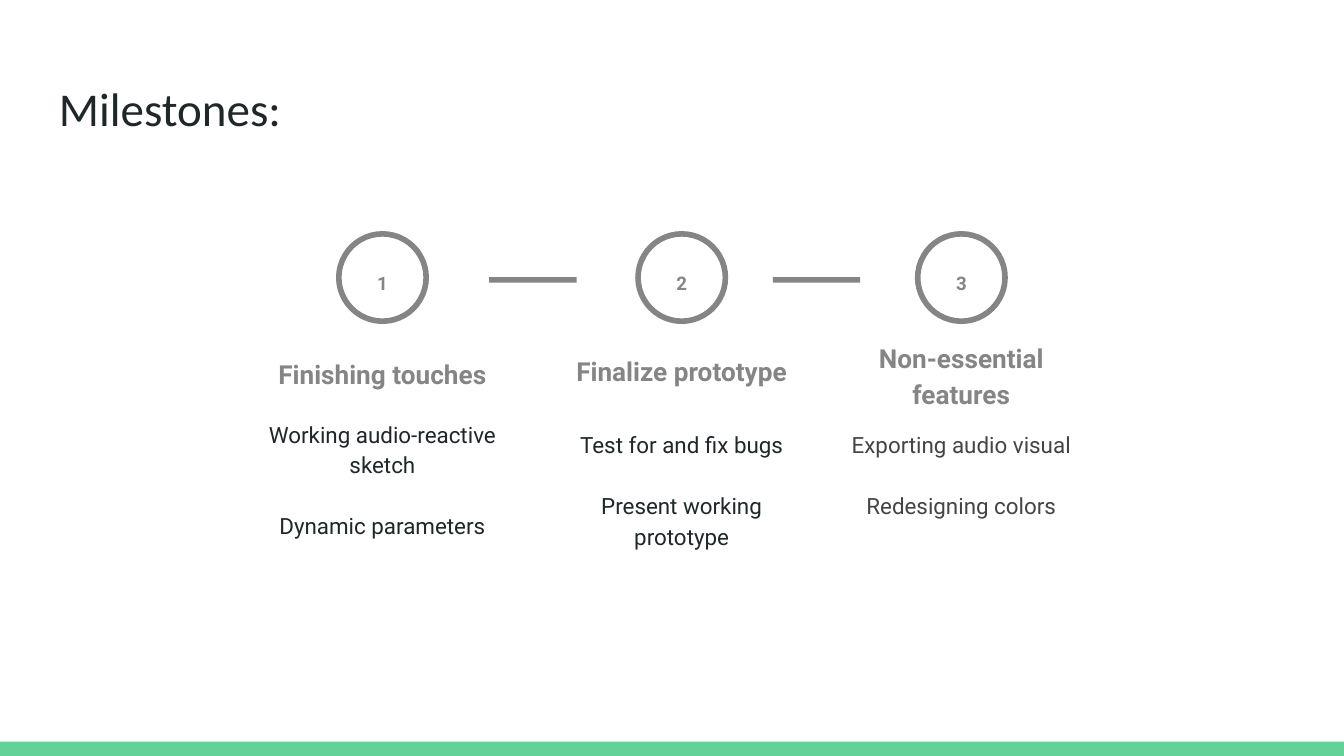
from pptx import Presentation
from pptx.dml.color import RGBColor
from pptx.enum.shapes import MSO_SHAPE
from pptx.enum.text import MSO_ANCHOR, PP_ALIGN
from pptx.util import Pt

RECT, OVAL = MSO_SHAPE.RECTANGLE, MSO_SHAPE.OVAL
TOP, BOTTOM = MSO_ANCHOR.TOP, MSO_ANCHOR.BOTTOM
LEFT, CENTER = PP_ALIGN.LEFT, PP_ALIGN.CENTER
COLORS = {"green": "63D297", "gray": "858585", "ink": "202729", "soft": "444444"}

MILESTONES = [
    (204.9, "Finishing touches", 180.7, 216, "ink",
     ["Working audio-reactive sketch", "Dynamic parameters"]),
    (365.2, "Finalize prototype", 179.3, 221.8, "ink",
     ["Test for and fix bugs", "Present working prototype"]),
    (515, "Non-essential features", 191.5, 221.8, "soft",
     ["Exporting audio visual", "Redesigning colors"]),
]


class Deck:
    """Holds the style and the current slide, and draws its elements."""

    def __init__(self, prs):
        self.s = prs.slides.add_slide(prs.slide_layouts[6])

    def color(self, name):
        return RGBColor.from_string(COLORS[name])

    def bar(self, x, y, w, h, color):
        sp = self.s.shapes.add_shape(RECT, Pt(x), Pt(y), Pt(w), Pt(h))
        sp.shadow.inherit = False
        sp.fill.solid()
        sp.fill.fore_color.rgb = self.color(color)
        sp.line.fill.background()

    def ring(self, parent, cx, y, size):
        sp = parent.shapes.add_shape(OVAL, Pt(cx - size / 2), Pt(y), Pt(size), Pt(size))
        sp.shadow.inherit = False
        sp.fill.background()
        sp.line.color.rgb = self.color("gray")
        sp.line.width = Pt(3)

    def text(self, parent, x, y, w, h, lines, size, color, font="Roboto",
             bold=False, align=CENTER, anchor=TOP, spacing=1.15):
        tf = parent.shapes.add_textbox(Pt(x), Pt(y), Pt(w), Pt(h)).text_frame
        tf.word_wrap = True
        tf.vertical_anchor = anchor
        tf.margin_left = tf.margin_right = tf.margin_top = tf.margin_bottom = Pt(7.2)
        for i, line in enumerate(lines):
            p = tf.add_paragraph() if i else tf.paragraphs[0]
            p.text = line
            p.alignment = align
            p.line_spacing = spacing
            p.space_before = Pt(16 if i else 0)
            p.font.name = font
            p.font.size = Pt(size)
            p.font.bold = bold
            p.font.color.rgb = self.color(color)

    def milestone(self, number, cx, heading, heading_y, body_y, color, body):
        group = self.s.shapes.add_group_shape()
        self.ring(group, cx, 125.3, 46.8)
        self.text(group, cx - 67.3, heading_y, 134.6, 35.3, [heading], 14, "gray",
                  bold=True, anchor=BOTTOM)
        self.text(group, cx - 74.9, body_y, 149.8, 58.3, body, 12, color)
        self.text(group, cx - 17.3, 136.8, 34.6, 25.2, [str(number)], 10, "gray", bold=True)


def main():
    prs = Presentation()
    prs.slide_width, prs.slide_height = Pt(720), Pt(405)
    deck = Deck(prs)
    deck.bar(0, 397.4, 720, 7.6, "green")
    deck.text(deck.s, 24.5, 35.3, 671, 45.4, ["Milestones:"], 25.2, "ink",
              font="Calibri", align=LEFT, spacing=1)
    for number, milestone in enumerate(MILESTONES, 1):
        deck.milestone(number, *milestone)
    for x in (262.1, 414):
        deck.bar(x, 148.5, 46.8, 3, "gray")
    prs.save("out.pptx")


if __name__ == "__main__":
    main()
